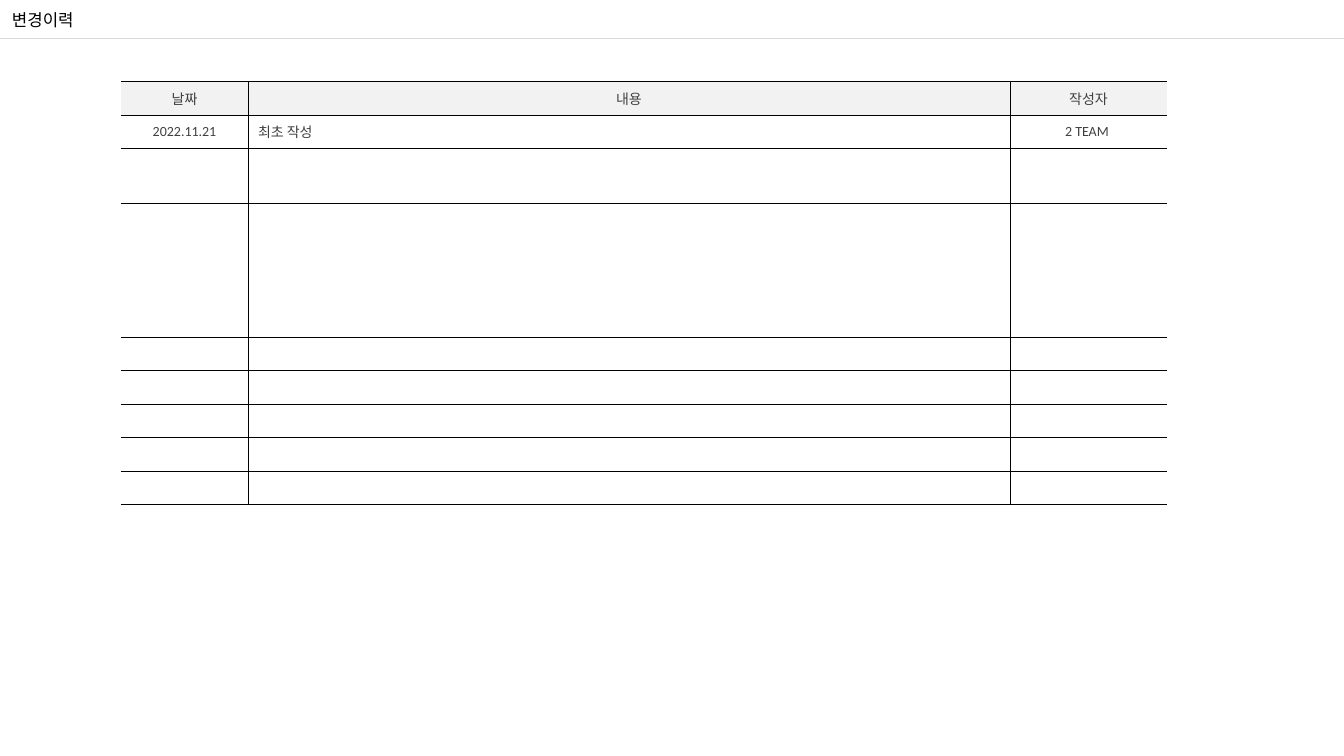
from lxml import etree
from pptx import Presentation
from pptx.dml.color import RGBColor
from pptx.enum.shapes import MSO_CONNECTOR
from pptx.enum.text import MSO_ANCHOR, MSO_AUTO_SIZE, PP_ALIGN
from pptx.oxml.ns import qn
from pptx.util import Pt

LEFT, CENTER = PP_ALIGN.LEFT, PP_ALIGN.CENTER
MIDDLE = MSO_ANCHOR.MIDDLE
FIT = MSO_AUTO_SIZE.SHAPE_TO_FIT_TEXT
STRAIGHT = MSO_CONNECTOR.STRAIGHT

TITLE = "변경이력"
HEAD = ("날짜", "내용", "작성자")
LOG = [("2022.11.21", "최초 작성", "2 TEAM ")]
COLS = (127, 762, 157)
ROWS = (34, 33, 55, 134, 33, 34, 33, 34, 33)

THEME = {
    "font": "Calibri", "title": 12, "body": 10,
    "black": "000000", "text": "404040", "rule": "D9D9D9",
    "head": "F2F2F2", "cell": "FFFFFF",
    "rule_pt": 0.5, "edge_pt": 0.25,
}
WIDE, HIGH = 1344, 756
SCALE = 914400 / 100.8


def px(n):
    """Turn pixels into EMU."""
    return round(n * SCALE)


def color(name):
    """Look up a theme colour."""
    return RGBColor.from_string(THEME[name])


def write(para, text, size, tone):
    """Add one styled run to a paragraph."""
    run = para.add_run()
    run.text = text
    run.font.name = THEME["font"]
    run.font.size = Pt(THEME[size])
    run.font.color.rgb = color(tone)


def edge(cell, side, shown):
    """Add one cell border, or an invisible one."""
    props = cell._tc.get_or_add_tcPr()
    line = etree.SubElement(props, qn("a:ln" + side),
                            w=str(Pt(THEME["edge_pt"])))
    if shown:
        fill = etree.SubElement(line, qn("a:solidFill"))
        etree.SubElement(fill, qn("a:srgbClr"), val=THEME["black"])
    else:
        etree.SubElement(line, qn("a:noFill"))


def add_title(slide):
    """Add the heading and the rule below it."""
    line = slide.shapes.add_connector(STRAIGHT, 0, px(38), px(WIDE), px(38))
    line.line.color.rgb = color("rule")
    line.line.width = Pt(THEME["rule_pt"])
    etree.SubElement(line._element.spPr, qn("a:effectLst"))
    box = slide.shapes.add_textbox(px(2), px(5), px(89), px(30))
    frame = box.text_frame
    frame.word_wrap = False
    frame.auto_size = FIT
    write(frame.paragraphs[0], TITLE, "title", "black")


def add_log(slide):
    """Add the change table, open at its left and right sides."""
    frame = slide.shapes.add_table(len(ROWS), len(COLS), px(121), px(81),
                                   px(sum(COLS)), px(sum(ROWS)))
    table = frame.table
    table.first_row = table.horz_banding = False
    for col, wide in zip(table.columns, COLS):
        col.width = px(wide)
    for row, high in zip(table.rows, ROWS):
        row.height = px(high)

    blank = ("",) * len(COLS)
    lines = [HEAD] + LOG + [blank] * (len(ROWS) - 1 - len(LOG))
    for r, line in enumerate(lines):
        for c, text in enumerate(line):
            cell = table.cell(r, c)
            edge(cell, "L", c > 0)
            edge(cell, "R", c < len(COLS) - 1)
            edge(cell, "T", True)
            edge(cell, "B", True)
            cell.fill.solid()
            cell.fill.fore_color.rgb = color("cell" if r else "head")
            cell.vertical_anchor = MIDDLE
            para = cell.text_frame.paragraphs[0]
            para.alignment = LEFT if r and c == 1 else CENTER
            if text:
                write(para, text, "body", "text")
            else:
                etree.SubElement(para._p, qn("a:endParaRPr"),
                                 sz=str(THEME["body"] * 100))


deck = Presentation()
deck.slide_width, deck.slide_height = px(WIDE), px(HIGH)
page = deck.slides.add_slide(deck.slide_layouts[6])
add_title(page)
add_log(page)
deck.save("out.pptx")
